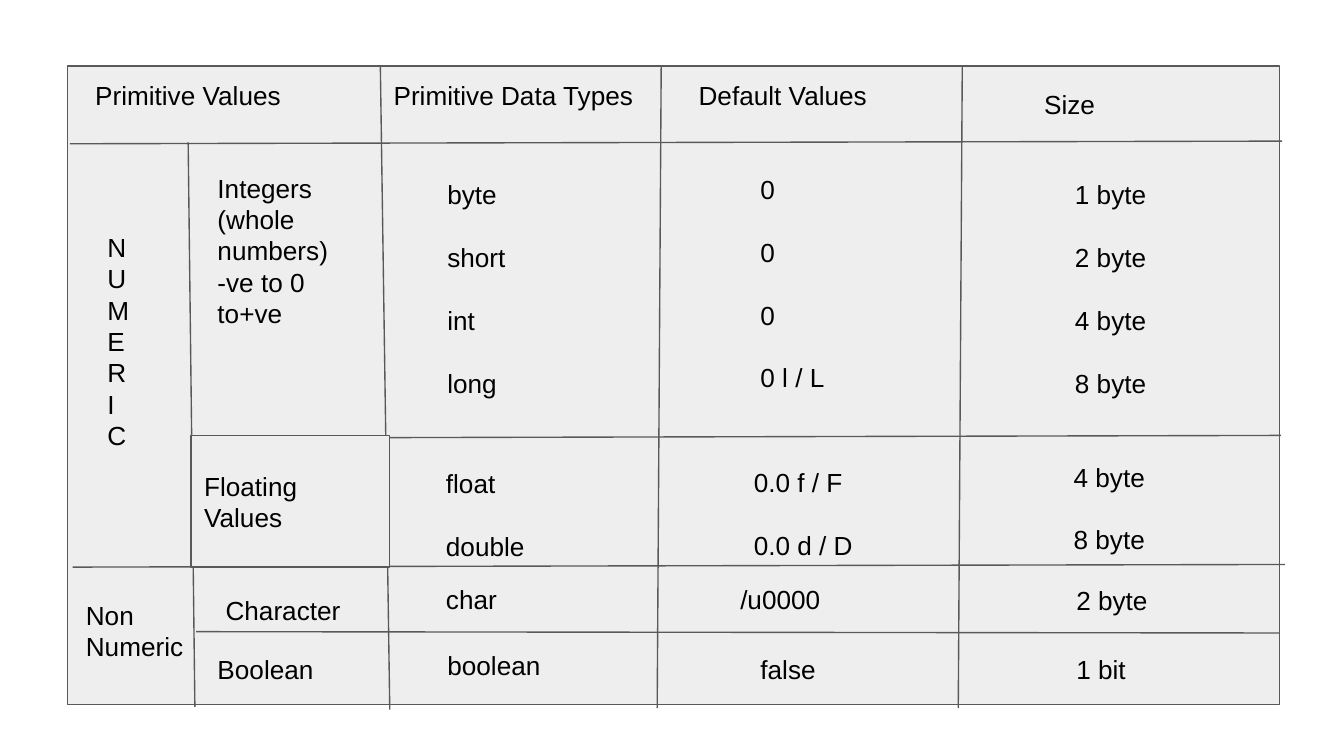
from lxml import etree
from pptx import Presentation
from pptx.dml.color import RGBColor
from pptx.enum.shapes import MSO_CONNECTOR, MSO_SHAPE
from pptx.enum.text import MSO_ANCHOR, MSO_AUTO_SIZE, PP_ALIGN
from pptx.oxml.ns import qn
from pptx.util import Inches, Pt

THEME = {
    "panel": RGBColor.from_string("EEEEEE"),
    "rule": RGBColor.from_string("595959"),
    "text": RGBColor.from_string("000000"),
    "font": "Arial",
    "size": Pt(14),
    "line_height": Pt(16.8),
    "rule_width": Pt(0.75),
}
FRAME_FORMAT = {
    "word_wrap": True,
    "margin_left": Inches(0.1),
    "margin_right": Inches(0.1),
    "margin_top": Inches(0.1),
    "margin_bottom": Inches(0.1),
}
PARAGRAPH_FORMAT = {
    "alignment": PP_ALIGN.LEFT,
    "line_spacing": THEME["line_height"],
}
FONT_FORMAT = {"name": THEME["font"], "size": THEME["size"]}


def write_lines(shape, lines, gap, frame_format):
    """Put one paragraph per line in the shape, with gap between paragraphs."""
    frame = shape.text_frame
    for name, value in (FRAME_FORMAT | frame_format).items():
        setattr(frame, name, value)
    for index, line in enumerate(lines):
        paragraph = frame.add_paragraph() if index else frame.paragraphs[0]
        for name, value in PARAGRAPH_FORMAT.items():
            setattr(paragraph, name, value)
        paragraph.space_before = gap if index else Pt(0)
        run = paragraph.add_run()
        run.text = line
        for name, value in FONT_FORMAT.items():
            setattr(run.font, name, value)
        run.font.color.rgb = THEME["text"]


def add_panel(shapes, left, top, width, height):
    panel = shapes.add_shape(
        MSO_SHAPE.RECTANGLE, Inches(left), Inches(top), Inches(width), Inches(height)
    )
    panel.shadow.inherit = False
    panel.fill.solid()
    panel.fill.fore_color.rgb = THEME["panel"]
    panel.line.color.rgb = THEME["rule"]
    panel.line.width = THEME["rule_width"]
    return panel


presentation = Presentation()
presentation.slide_width = Inches(10)
presentation.slide_height = Inches(10 * 9 / 16)
slide = presentation.slides.add_slide(presentation.slide_layouts[6])
shapes = slide.shapes

add_panel(shapes, 0.5, 0.49, 9.02, 4.75)

# Start x, start y, end x, end y
rules = [
    (2.83, 0.49, 2.9, 5.28),
    (4.92, 0.49, 4.89, 5.27),
    (7.16, 0.49, 7.13, 5.27),
    (1.4, 1.06, 1.45, 5.26),
    (0.52, 1.07, 9.54, 1.05),
    (1.42, 3.26, 9.53, 3.24),
    (0.54, 4.22, 9.56, 4.2),
    (1.46, 4.7, 9.52, 4.71),
]
for rule in rules:
    connector = shapes.add_connector(MSO_CONNECTOR.STRAIGHT, *map(Inches, rule))
    connector.line.color.rgb = THEME["rule"]
    connector.line.width = THEME["rule_width"]
    etree.SubElement(connector.element.spPr, qn("a:effectLst"))

floating_cell = add_panel(shapes, 1.42, 3.24, 1.48, 0.98)
write_lines(
    floating_cell, ["Floating", "Values"], Pt(0), {"vertical_anchor": MSO_ANCHOR.MIDDLE}
)

# Left, top, width, height, lines
single_spaced = [
    # Header
    (0.61, 0.49, 1.84, 0.44, ["Primitive Values"]),
    (2.83, 0.49, 2.05, 0.44, ["Primitive Data Types"]),
    (5.1, 0.49, 1.84, 0.44, ["Default Values"]),
    (7.67, 0.56, 1.62, 0.44, ["Size"]),
    # Value groups
    (0.7, 1.62, 0.51, 1.85, list("NUMERIC")),
    (1.52, 1.18, 1.24, 1.38, ["Integers", "(whole", "numbers)", "-ve to 0 to+ve"]),
    (0.54, 4.36, 0.95, 0.67, ["Non Numeric"]),
    # Character row
    (1.58, 4.32, 1.24, 0.44, ["Character"]),
    (3.22, 4.24, 1.13, 0.44, ["char"]),
    (5.41, 4.24, 1.13, 0.44, ["/u0000"]),
    (7.91, 4.25, 0.97, 0.44, ["2 byte"]),
    # Boolean row
    (1.52, 4.76, 1.24, 0.44, ["Boolean"]),
    (3.23, 4.73, 1.08, 0.44, ["boolean"]),
    (5.56, 4.76, 0.97, 0.44, ["false"]),
    (7.91, 4.76, 0.97, 0.44, ["1 bit"]),
]
double_spaced = [
    # Integer types
    (3.23, 1.23, 0.93, 1.85, ["byte", "short", "int", "long"]),
    (5.56, 1.19, 1.1, 1.85, ["0", "0", "0", "0 l / L"]),
    (7.9, 1.23, 1.1, 1.85, ["1 byte", "2 byte", "4 byte", "8 byte"]),
    # Floating types
    (3.22, 3.38, 1.46, 0.91, ["float", "double"]),
    (5.51, 3.37, 1.02, 0.91, ["0.0 f / F", "0.0 d / D"]),
    (7.89, 3.33, 0.87, 0.91, ["4 byte", "8 byte"]),
]
for gap, cells in ((Pt(0), single_spaced), (THEME["line_height"], double_spaced)):
    for *box, lines in cells:
        text_box = shapes.add_textbox(*map(Inches, box))
        write_lines(text_box, lines, gap, {"auto_size": MSO_AUTO_SIZE.SHAPE_TO_FIT_TEXT})

presentation.save("out.pptx")
